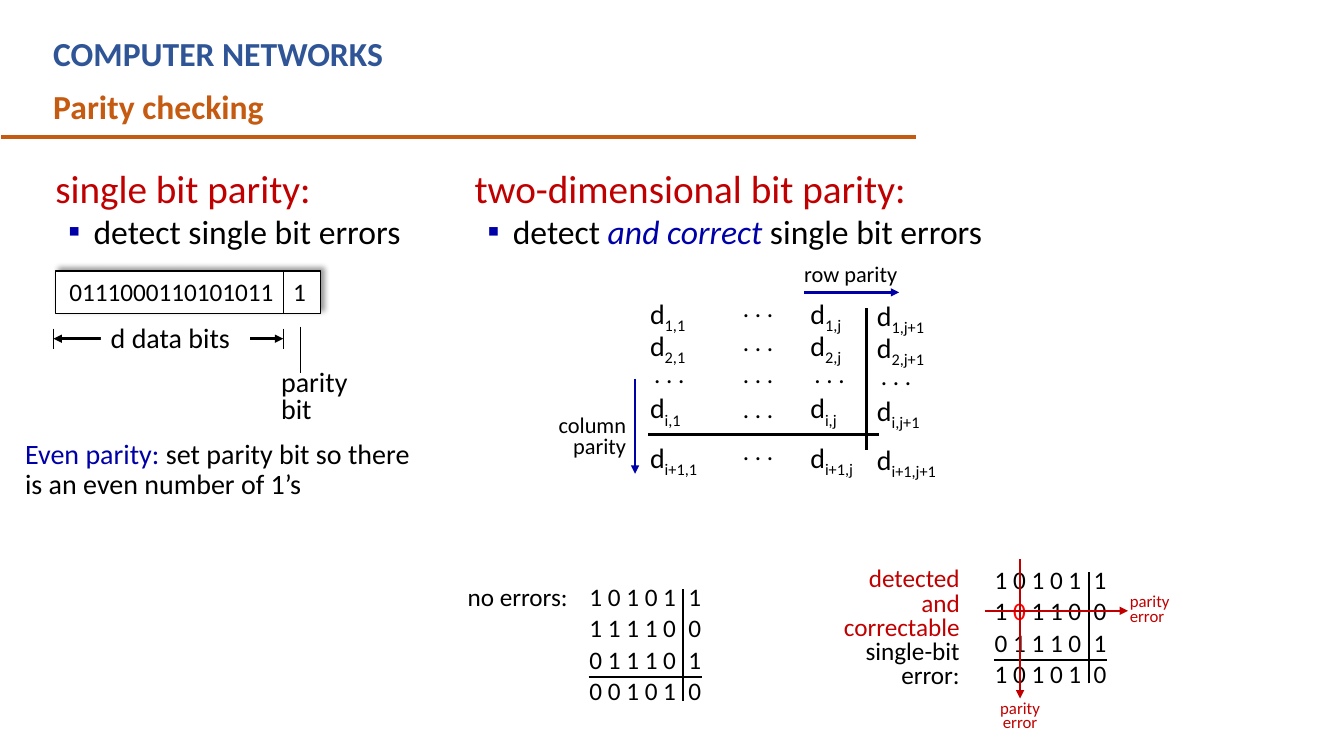
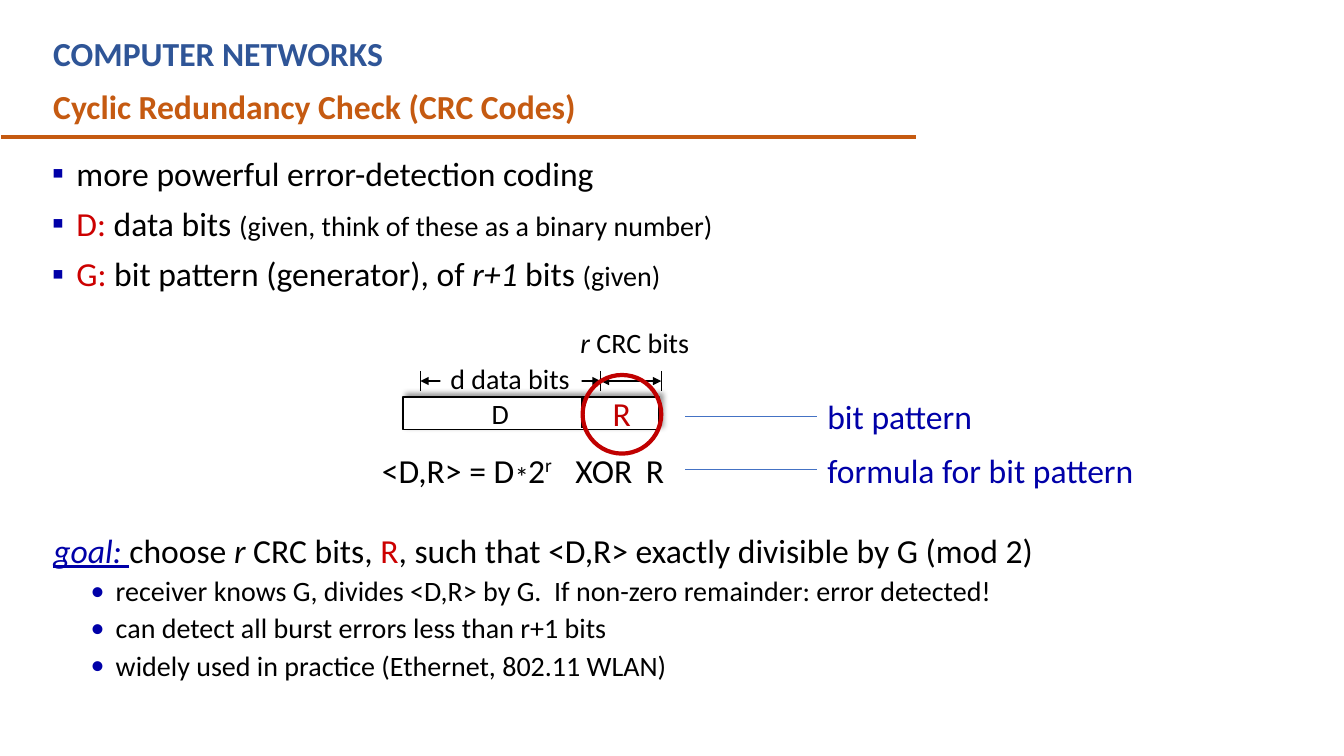
from itertools import pairwise

from lxml.etree import SubElement
from pptx import Presentation
from pptx.dml.color import RGBColor
from pptx.enum.shapes import MSO_CONNECTOR as Link, MSO_SHAPE as Preset
from pptx.enum.text import MSO_AUTO_SIZE as Fit, PP_ALIGN as Align
from pptx.oxml.ns import qn
from pptx.util import Inches, Pt

CELL = Inches(0.1)  # the slide is a grid of 133.33 columns and 75 rows
COLUMNS, ROWS = 133.33, 75
FONT = "Calibri"
BLACK = RGBColor(0x00, 0x00, 0x00)
WHITE = RGBColor(0xFF, 0xFF, 0xFF)
TITLE_BLUE = RGBColor(0x2F, 0x55, 0x97)
ORANGE = RGBColor(0xC5, 0x5A, 0x11)
NAVY = RGBColor(0x00, 0x00, 0xA8)
RED = RGBColor(0xC0, 0x00, 0x00)
SYMBOL_RED = RGBColor(0xCC, 0x00, 0x00)
ERROR_RED = RGBColor(0xFF, 0x00, 0x00)
POINTER_BLUE = RGBColor(0x44, 0x72, 0xC4)
DOTS = ". . ."


def cells(*counts):
    return [round(count * CELL) for count in counts]


def add_span(para, text, size, color=BLACK, bold=False, italic=False,
             underline=False, baseline=0):
    span = para.add_run()
    span.text = text
    font = span.font
    font.name, font.size, font.bold = FONT, Pt(size), bold
    font.italic, font.underline = italic, underline
    font.color.rgb = color
    if baseline:
        span._r.get_or_add_rPr().set("baseline", str(baseline * 1000))


def add_para(box, text, size=18, align=Align.LEFT, spacing=1, before=0,
             bullet=None, margin=0, indent=0, **style):
    """Text is a string, or a list of strings and (string, format) pairs."""
    frame = box.text_frame
    para = frame.add_paragraph() if frame.text else frame.paragraphs[0]
    props = para._p.get_or_add_pPr()
    props.set("marL", str(Inches(margin)))
    props.set("indent", str(Inches(indent)))
    if bullet:
        color = SubElement(props, qn("a:buClr"))
        SubElement(color, qn("a:srgbClr"), val=str(NAVY))
        SubElement(props, qn("a:buFont"), typeface=FONT)
        SubElement(props, qn("a:buChar"), char=bullet)
    para.alignment, para.line_spacing = align, spacing
    para.space_before = Pt(before)
    for part in [text] if isinstance(text, str) else text:
        words, own = (part, {}) if isinstance(part, str) else part
        add_span(para, words, **{"size": size, **style, **own})


def add_text(page, at, *paras, wrap=True, fill=None, **style):
    box = page.shapes.add_textbox(*cells(*at))
    box.text_frame.word_wrap = wrap
    box.text_frame.auto_size = Fit.SHAPE_TO_FIT_TEXT
    if fill is not None:
        box.fill.solid()
        box.fill.fore_color.rgb = fill
    for text in paras:
        add_para(box, text, **style)
    return box


def add_line(page, start, end, color=BLACK, width=1, head=False, tail=False):
    line = page.shapes.add_connector(Link.STRAIGHT, *cells(*start, *end))
    line.line.color.rgb = color
    line.line.width = Pt(width)
    stroke = line.line._get_or_add_ln()
    for name, wanted in (("a:headEnd", head), ("a:tailEnd", tail)):
        if wanted:
            SubElement(stroke, qn(name), type="triangle")
    SubElement(line._element.spPr, qn("a:effectLst"))
    return line


def add_frame(page, at):
    """White rectangle with a soft shadow to the upper right."""
    frame = page.shapes.add_shape(Preset.RECTANGLE, *cells(*at))
    frame.fill.solid()
    frame.fill.fore_color.rgb = WHITE
    frame.line.color.rgb = BLACK
    frame.line.width = Pt(1)
    frame.shadow.inherit = False
    effects = frame._element.spPr.find(qn("a:effectLst"))
    shadow = SubElement(effects, qn("a:outerShdw"), blurRad=str(Pt(4)),
                        dist=str(Pt(3)), dir=str(315 * 60000), rotWithShape="0")
    color = SubElement(shadow, qn("a:srgbClr"), val=str(BLACK))
    SubElement(color, qn("a:alpha"), val="40000")


def add_dimension(page, edges, y):
    """Two-headed arrows between neighbouring edges, with a tick at each."""
    for left, right in pairwise(edges):
        add_line(page, (left, y), (right, y), width=1.75, head=True, tail=True)
    for x in edges:
        add_line(page, (x, y - 1), (x, y + 1), width=0.5)


def add_page(deck, title):
    page = deck.slides.add_slide(deck.slide_layouts[6])
    heading = {"size": 24, "bold": True}
    add_text(page, (4.3, 2.8, 82, 5), "COMPUTER NETWORKS", color=TITLE_BLUE, **heading)
    add_line(page, (0.1, 13.6), (90.9, 13.6), ORANGE, 3)
    add_text(page, (4.3, 8, 82, 5), title, color=ORANGE, **heading)
    return page


def add_topic(page, at, title, detail):
    box = add_text(page, at, title, size=28, color=RED)
    add_para(box, detail, size=24, bullet="▪", margin=0.38, indent=-0.25)


def add_single_bit_parity(page):
    add_topic(page, (4.5, 15.8, 36.8, 9.8), "single bit parity:",
              "detect single bit errors")
    add_frame(page, (5.5, 26.9, 26.3, 4.2))
    add_text(page, (5.9, 26.9, 22.5, 4), "0111000110101011", wrap=False)
    add_text(page, (28.1, 26.9, 3.3, 4), "1", wrap=False)
    add_line(page, (28.1, 26.9), (28.1, 31.1))
    add_dimension(page, (5.3, 28.1), 33.6)
    label = {"size": 20, "spacing": 0.8, "fill": WHITE}
    add_text(page, (10, 31.9, 14.8, 3.8), "d data bits", **label)
    add_text(page, (26.9, 36.3, 14.8, 6.5), "parity", "bit", **label)
    add_line(page, (29.8, 32.4), (29.8, 37))
    add_text(page, (1.5, 43.2, 42.2, 7.1),
             [("Even parity: ", {"color": NAVY}),
              "set parity bit so there is an even number of 1’s"],
             size=20, spacing=0.9)


def add_parity_matrix(page):
    tops = {"1": 28.9, "2": 32.1, None: 35.1, "i": 38.3, "i+1": 43.2}
    for column, x, drop in (("1", 63.5, 0), ("j", 79.4, 0), ("j+1", 86, 0.2)):
        for row, y in tops.items():
            if row:
                index = (f"{row},{column}", {"baseline": -25})
                add_text(page, (x, y + drop, 8.5, 4.4), ["d", index], size=20)
            else:
                add_text(page, (x + 0.4, y + drop, 6.9, 4), DOTS)
    for y in (28.5, 31.9, 35.1, 38.5, 42.7):
        add_text(page, (72.7, y, 6.9, 4), DOTS)
    add_line(page, (64.3, 43.1), (87.2, 43.1), width=2)
    add_line(page, (86, 44.6), (86, 30.6), width=2)
    add_text(page, (78.8, 25.3, 11.4, 3.7), "row parity", size=16, wrap=False)
    add_text(page, (54.3, 40.8, 8.8, 5.4), "column", "parity", size=16,
             wrap=False, align=Align.RIGHT, spacing=0.8)
    for start, end in (((79.8, 29), (89.2, 29)), ((63, 37.6), (63, 47))):
        add_line(page, start, end, NAVY, 1.75, tail=True)


def add_bit_block(page, x, y, rows):
    """Rows of (data bits, parity bit), ruled off like a sum."""
    for number, (bits, parity) in enumerate(rows):
        top = y + 3.1 * number
        add_text(page, (x, top, 11, 4), bits)
        add_text(page, (x + 9.8, top, 3.4, 4), parity)
    add_line(page, (x + 0.9, y + 10), (x + 12.1, y + 10), width=1.5)
    add_line(page, (x + 10.3, y + 12.3), (x + 10.3, y + 1.2), width=1.5)


def add_parity_examples(page):
    first, third = ("1 0 1 0 1", "1"), ("0 1 1 1 0", "1")
    add_bit_block(page, 57.5, 57.2,
                  (first, ("1 1 1 1 0", "0"), third, ("0 0 1 0 1", "0")))
    add_text(page, (45.4, 57.2, 12.1, 4), "no errors:", wrap=False)

    flipped = ["1 ", ("0", {"color": ERROR_RED}), " 1 1 0"]
    add_bit_block(page, 97.7, 55.5,
                  (first, (flipped, "0"), third, ("1 0 1 0 1", "0")))
    error = {"size": 12, "color": RED, "spacing": 0.7}
    below = add_text(page, (98.2, 69.3, 6, 3.9), "parity", "error",
                     align=Align.CENTER, **error)
    add_text(page, (111.1, 58.7, 6, 3.9), "parity", "error", **error)
    arrow = {"color": RED, "width": 1.25, "tail": True}
    add_line(page, (97.7, 60.6), (111.9, 60.6), **arrow)
    add_line(page, (101.2, 55.5), (101.2, 69.3), **arrow).end_connect(below, 0)
    found = {"color": RED}
    add_text(page, (80.8, 55.9, 15.4, 13.2), [("detected", found)], [("and", found)],
             [("correctable", found)], "single-bit", "error:",
             align=Align.RIGHT, spacing=0.8)


def add_crc_points(page):
    symbol, small, slanted = {"color": SYMBOL_RED}, {"size": 20}, {"italic": True}
    points = (
        "more powerful error-detection coding",
        [("D: ", symbol), "data bits ",
         ("(given, think of these as a binary number)", small)],
        [("G: ", symbol), "bit pattern (generator), of ", ("r+1 ", slanted),
         "bits ", ("(given)", small)])
    box = add_text(page, (2.7, 15.1, 116.3, 16.7))
    for number, point in enumerate(points):
        add_para(box, point, size=24, spacing=0.9, before=10 if number else 0,
                 bullet="▪", margin=0.39, indent=-0.24)

    goal = [("goal: ", {"color": NAVY, "italic": True, "underline": True}),
            "choose ", ("r", slanted), " CRC bits, ", ("R", symbol),
            ", such that <D,R> exactly divisible by G (mod 2)"]
    box = add_text(page, (2.9, 52.5, 107.7, 20.4), goal, size=24, spacing=0.9,
                   margin=0.14)
    for fact in (
            "receiver knows G, divides <D,R> by G.  If non-zero remainder: error detected!",
            "can detect all burst errors less than r+1 bits",
            "widely used in practice (Ethernet, 802.11 WLAN)"):
        add_para(box, fact, size=20, spacing=0.9, before=5, bullet="•",
                 margin=0.76, indent=-0.25)


def add_crc_diagram(page):
    label = {"size": 20, "wrap": False}
    large = {"size": 24, "wrap": False}
    add_dimension(page, (41.7, 59.6, 65.6), 37.8)
    add_text(page, (56.6, 31.8, 12.9, 4.4), [("r", {"italic": True}), " CRC bits"],
             fill=WHITE, **label)
    add_text(page, (43.7, 35.4, 14, 4.4), "d data bits", fill=WHITE, **label)
    add_frame(page, (40, 39.4, 25.4, 3.2))
    add_text(page, (47.8, 38.8, 3.7, 4.4), "D", **label)
    add_text(page, (59.8, 38.5, 3.8, 5), "R", color=RED, **large)
    add_line(page, (57.8, 39.4), (57.8, 42.5), width=1.75)
    for x, width, term in ((36.9, 16, "<D,R> = D"),
                           (51.4, 5, ["2", ("r", {"baseline": 30})]),
                           (56.1, 8, "XOR"), (63.1, 4, "R")):
        add_text(page, (x, 44.1, width, 5), term, size=24)
    add_text(page, (50.1, 45.1, 3.4, 4.4), "*", **label)
    for words, y, width in (("bit pattern", 38.8, 16.6),
                            ("formula for bit pattern", 44.1, 32.7)):
        note = add_text(page, (81.1, y, width, 5), words, color=NAVY, **large)
        middle = y + 2.5
        pointer = add_line(page, (68, middle), (81.1, middle), POINTER_BLUE, 0.5)
        pointer.end_connect(note, 1)
    ring = page.shapes.add_shape(Preset.OVAL, *cells(57.8, 37.2, 7.8, 7.8))
    ring.fill.background()
    ring.line.color.rgb = RED
    ring.line.width = Pt(3)
    ring.shadow.inherit = False


def main():
    deck = Presentation()
    deck.slide_width, deck.slide_height = cells(COLUMNS, ROWS)

    page = add_page(deck, "Parity checking")
    add_single_bit_parity(page)
    add_topic(page, (46.1, 15.8, 53.7, 9.8), "two-dimensional bit parity:",
              ["detect ", ("and correct ", {"color": NAVY, "italic": True}),
               "single bit errors"])
    add_parity_matrix(page)
    add_parity_examples(page)

    page = add_page(deck, "Cyclic Redundancy Check (CRC Codes)")
    add_crc_points(page)
    add_crc_diagram(page)
    deck.save("out.pptx")


if __name__ == "__main__":
    main()
